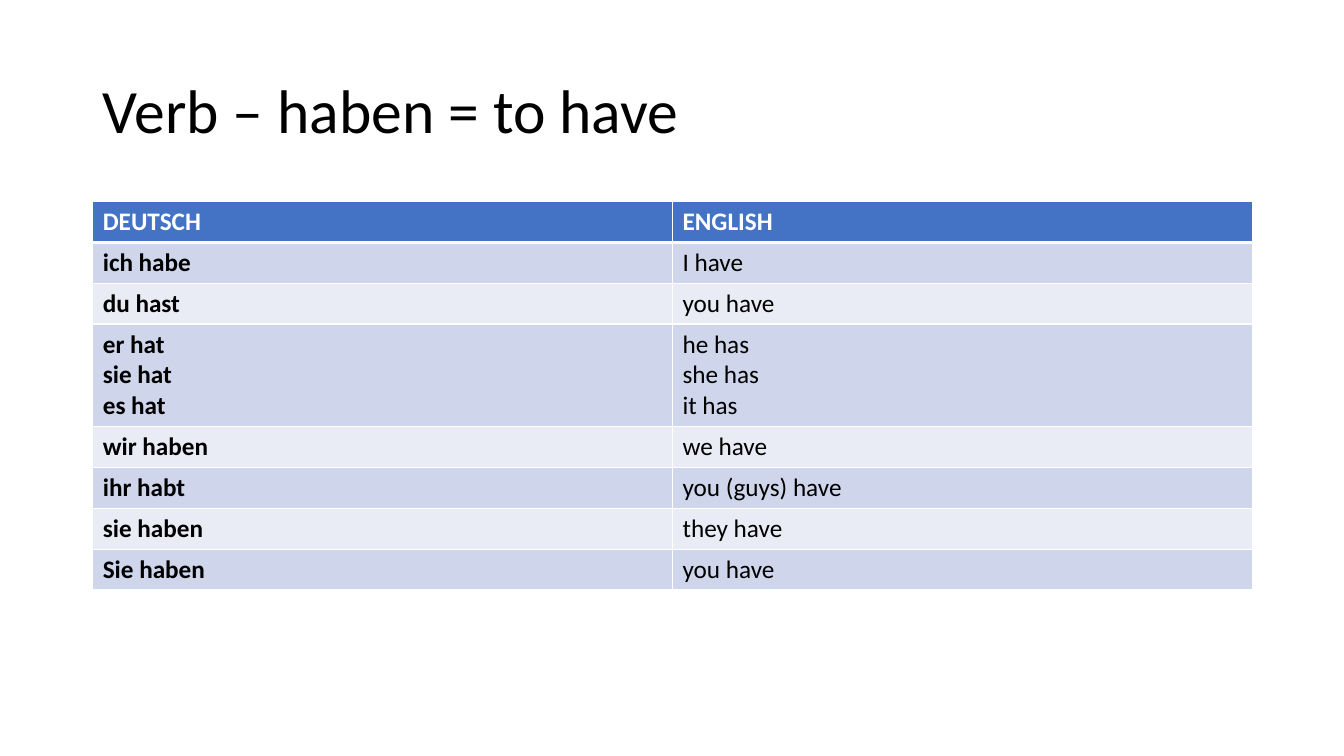
"""Build a slide with a table of the German verb haben."""
from typing import NamedTuple

import lxml.etree
import pptx
import pptx.dml.color
import pptx.enum.text
import pptx.oxml.ns
import pptx.presentation
import pptx.slide
import pptx.table
import pptx.util

Inches = pptx.util.Inches
FONT = "Calibri"
HUES = {
    "head": "4472C4",
    "odd": "CFD5EA",
    "even": "E9EBF5",
    "white": "FFFFFF",
    "black": "000000",
}
LEFT, WIDTH = 0.92, 11.5
TOP, ROW, TALL = 2, 0.405, 1.02


class Pair(NamedTuple):
    german: str
    english: str
    height: float = ROW


PAIRS = [
    Pair("DEUTSCH", "ENGLISH"),
    Pair("ich habe", "I have"),
    Pair("du hast", "you have"),
    Pair("er hat\vsie hat\ves hat", "he has\vshe has\vit has", TALL),
    Pair("wir haben", "we have"),
    Pair("ihr habt", "you (guys) have"),
    Pair("sie haben", "they have"),
    Pair("Sie haben", "you have"),
]


def color(name: str) -> pptx.dml.color.RGBColor:
    return pptx.dml.color.RGBColor.from_string(HUES[name])


def style(frame, size: float, hue: str, bold: bool = False) -> None:
    for para in frame.paragraphs:
        for run in para.runs:
            run.font.name = FONT
            run.font.size = pptx.util.Pt(size)
            run.font.bold = bold
            run.font.color.rgb = color(hue)


def border(cell, side: str, width: float) -> None:
    qn = pptx.oxml.ns.qn
    props = cell._tc.get_or_add_tcPr()
    line = lxml.etree.SubElement(props, qn(f"a:ln{side}"), w=str(pptx.util.Pt(width)))
    fill = lxml.etree.SubElement(line, qn("a:solidFill"))
    lxml.etree.SubElement(fill, qn("a:srgbClr"), val=HUES["white"])


def draw_title(slide: pptx.slide.Slide, text: str) -> None:
    box = slide.shapes.add_textbox(
        Inches(LEFT), Inches(0.4), Inches(WIDTH), Inches(1.45)
    )
    frame = box.text_frame
    frame.word_wrap = True
    frame.vertical_anchor = pptx.enum.text.MSO_ANCHOR.MIDDLE
    frame.text = text
    frame.paragraphs[0].line_spacing = 0.9
    style(frame, 44, "black")


def draw_cell(cell, text: str, row: int, col: int) -> None:
    head = row == 0
    widths = {"L": 1, "R": 1, "T": 3 if row == 1 else 1, "B": 3 if head else 1}
    for side, width in widths.items():
        border(cell, side, width)
    cell.fill.solid()
    cell.fill.fore_color.rgb = color("head" if head else "odd" if row % 2 else "even")
    cell.text_frame.text = text
    style(cell.text_frame, 18, "white" if head else "black", head or col == 0)


def draw_table(slide: pptx.slide.Slide, pairs: list[Pair]) -> None:
    height = sum(pair.height for pair in pairs)
    table = slide.shapes.add_table(
        len(pairs), 2, Inches(LEFT), Inches(TOP), Inches(WIDTH), Inches(height)
    ).table
    for row, pair in enumerate(pairs):
        table.rows[row].height = Inches(pair.height)
        for col, text in enumerate((pair.german, pair.english)):
            draw_cell(table.cell(row, col), text, row, col)


def main() -> None:
    deck = pptx.Presentation()
    deck.slide_width, deck.slide_height = Inches(13.33), Inches(7.5)
    slide = deck.slides.add_slide(deck.slide_layouts[6])
    draw_title(slide, "Verb – haben = to have")
    draw_table(slide, PAIRS)
    deck.save("out.pptx")


if __name__ == "__main__":
    main()
